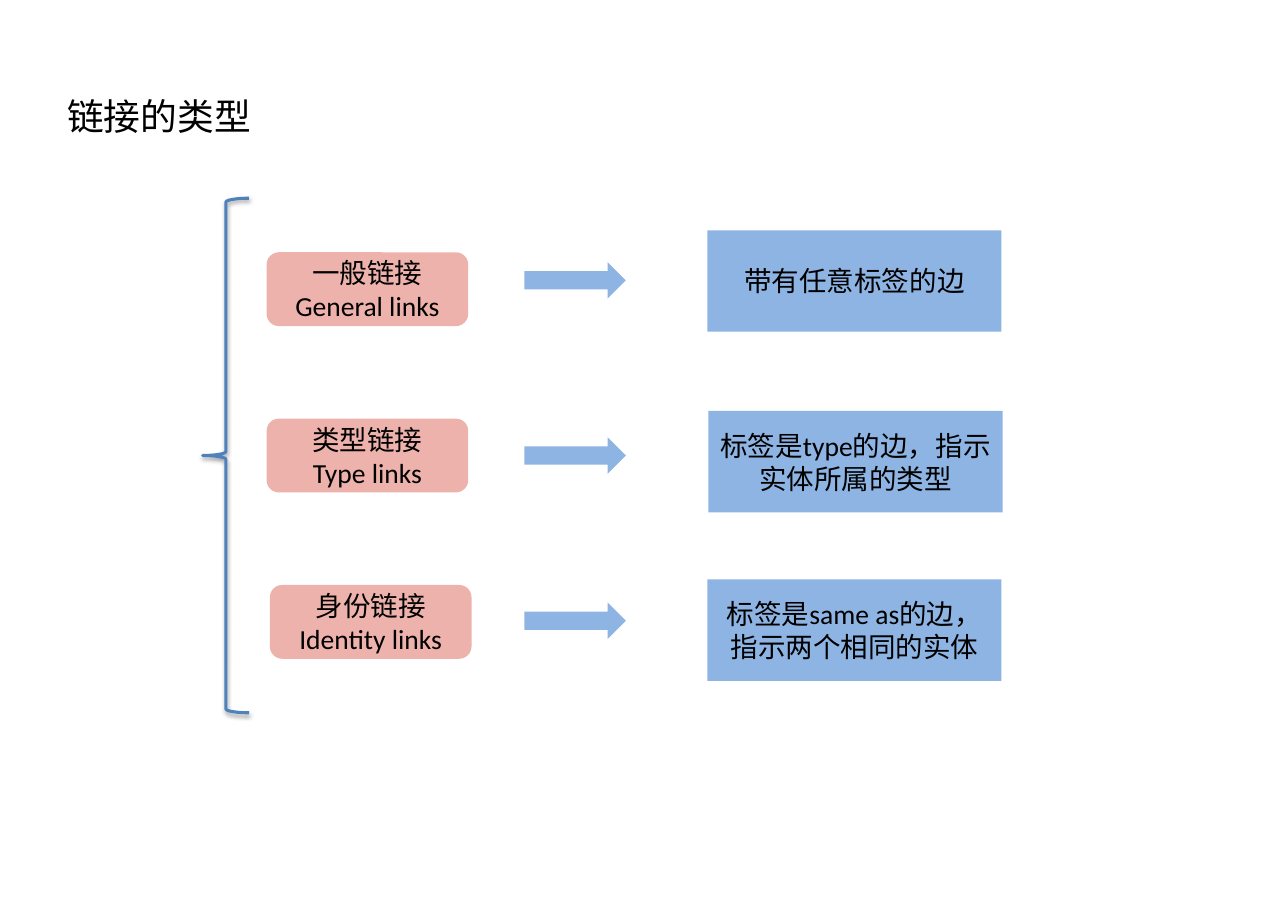
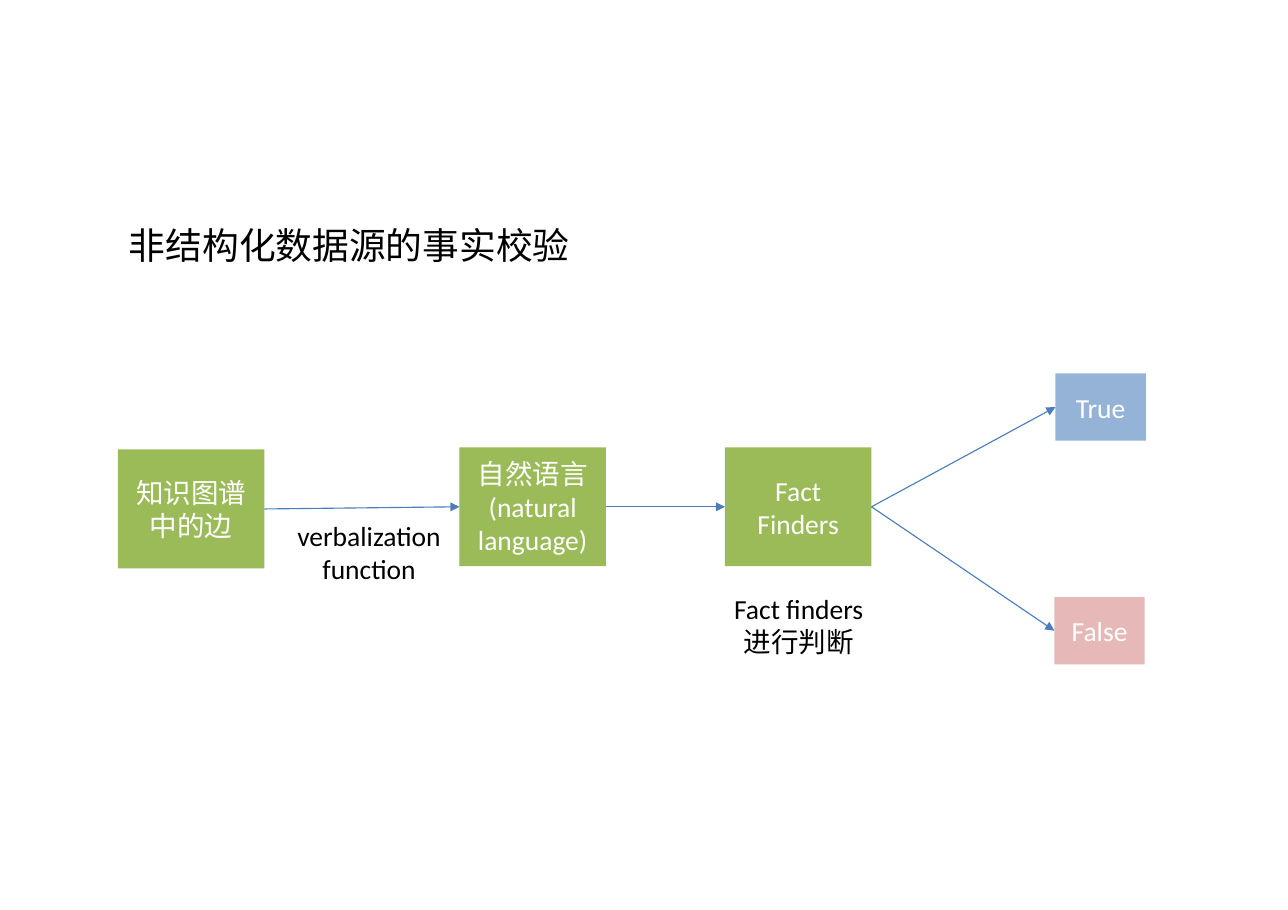
from dataclasses import dataclass

from lxml.etree import SubElement
from pptx import Presentation
from pptx.dml.color import RGBColor
from pptx.enum.shapes import MSO_CONNECTOR, MSO_SHAPE as Preset
from pptx.enum.text import MSO_ANCHOR as Anchor, MSO_AUTO_SIZE as AutoSize, PP_ALIGN as Align
from pptx.oxml.ns import qn
from pptx.util import Pt

PX = 9144  # 100 px to the inch
SLIDE_SIZE = (1169, 826)
TITLE_ONLY = 5
LEFT_SITE, RIGHT_SITE = 1, 3


@dataclass(frozen=True)
class Theme:
    ink: str = "000000"
    light: str = "FFFFFF"
    link: str = "EEB2AC"
    meaning: str = "8EB4E3"
    brace: str = "4F81BD"
    step: str = "9BBB59"
    true: str = "95B3D7"
    false: str = "E6B9B8"
    flow: str = "4B7EBC"
    title_font: str = "Noto Sans CJK SC"
    body_font: str = "Calibri"
    title_size: int = 24
    body_size: int = 18
    brace_width: float = 2
    flow_width: float = 0.75


THEME = Theme()

# Slide 1: link type (text, left), arrow top, meaning (text, left, top)
LINK_TITLE = ("链接的类型", (51, 80, 188, 50))
LINK_ROWS = [
    ("一般链接\nGeneral links", 242, 238, "带有任意标签的边", 642, 209),
    ("类型链接\nType links", 242, 397, "标签是type的边，指示实体所属的类型", 643, 373),
    ("身份链接\nIdentity links", 245, 547, "标签是same as的边，指示两个相同的实体", 642, 526),
]
LINK_TOP, LINK_STEP = 229, 151
LINK_SIZE, ARROW_SIZE, MEANING_SIZE = (183, 67), (92, 33), (267, 92)
ARROW_LEFT = 476
BRACE_BOX = (184, 180, 42, 467)

# Slide 2
CHECK_TITLE = ("非结构化数据源的事实校验", (107, 197, 424, 50))
STEP_SIZE, VERDICT_SIZE = (133, 108), (82, 61)
NODES = {
    "edge": ("知识图谱中的边", (107, 408), STEP_SIZE, THEME.step),
    "language": ("自然语言(natural language)", (417, 406), STEP_SIZE, THEME.step),
    "finders": ("Fact Finders", (658, 406), STEP_SIZE, THEME.step),
    "true": ("True", (958, 339), VERDICT_SIZE, THEME.true),
    "false": ("False", (957, 542), VERDICT_SIZE, THEME.false),
}
FLOWS = [("edge", "language"), ("language", "finders"),
         ("finders", "true"), ("finders", "false")]
CAPTIONS = [
    ("verbalization function", (247, 466, 176, 71)),
    ("Fact finders进行判断", (650, 532, 150, 71)),
]


def emu(box):
    return [length * PX for length in box]


def rgb(code):
    return RGBColor.from_string(code)


def write(shape, text, color, frame_format, align=Align.CENTER,
          font=THEME.body_font, size=THEME.body_size):
    frame = shape.text_frame
    frame.text = text
    for name, value in frame_format.items():
        setattr(frame, name, value)
    for paragraph in frame.paragraphs:
        paragraph.alignment = align
        for run in paragraph.runs:
            for name, value in {"name": font, "size": Pt(size)}.items():
                setattr(run.font, name, value)
            run.font.color.rgb = rgb(color)


def titled_slide(deck, title, box):
    slide = deck.slides.add_slide(deck.slide_layouts[TITLE_ONLY])
    heading = slide.shapes.title
    heading.left, heading.top, heading.width, heading.height = emu(box)
    write(heading, title, THEME.ink,
          {"word_wrap": False, "vertical_anchor": Anchor.TOP,
           "auto_size": AutoSize.SHAPE_TO_FIT_TEXT},
          Align.LEFT, THEME.title_font, THEME.title_size)
    return slide


def add_block(slide, preset, box, fill, text="", color=THEME.ink):
    block = slide.shapes.add_shape(preset, *emu(box))
    block.shadow.inherit = False
    block.fill.solid()
    block.fill.fore_color.rgb = rgb(fill)
    block.line.fill.background()
    if text:
        write(block, text, color, {"word_wrap": True, "vertical_anchor": Anchor.MIDDLE})
    return block


def add_brace(slide):
    brace = slide.shapes.add_shape(Preset.LEFT_BRACE, *emu(BRACE_BOX))
    brace.fill.background()
    brace.line.color.rgb = rgb(THEME.brace)
    brace.line.width = Pt(THEME.brace_width)
    brace.shadow.inherit = False
    effects = brace._element.spPr.find(qn("a:effectLst"))
    shadow = SubElement(effects, qn("a:outerShdw"), blurRad="40000", dist="20000",
                        dir="5400000", rotWithShape="0")
    shade = SubElement(shadow, qn("a:srgbClr"), val=THEME.ink)
    SubElement(shade, qn("a:alpha"), val="38000")


def add_flow(slide, source, target):
    flow = slide.shapes.add_connector(MSO_CONNECTOR.STRAIGHT, 0, 0, 0, 0)
    flow.begin_connect(source, RIGHT_SITE)
    flow.end_connect(target, LEFT_SITE)
    flow.line.color.rgb = rgb(THEME.flow)
    flow.line.width = Pt(THEME.flow_width)
    properties = flow._element.spPr
    SubElement(properties.find(qn("a:ln")), qn("a:tailEnd"), type="triangle")
    SubElement(properties, qn("a:effectLst"))


def build_link_types(deck):
    slide = titled_slide(deck, *LINK_TITLE)
    add_brace(slide)
    for row, (link, link_left, arrow_top, meaning, left, top) in enumerate(LINK_ROWS):
        link_top = LINK_TOP + row * LINK_STEP
        add_block(slide, Preset.ROUNDED_RECTANGLE, (link_left, link_top, *LINK_SIZE),
                  THEME.link, link)
        add_block(slide, Preset.RIGHT_ARROW, (ARROW_LEFT, arrow_top, *ARROW_SIZE),
                  THEME.meaning)
        add_block(slide, Preset.RECTANGLE, (left, top, *MEANING_SIZE),
                  THEME.meaning, meaning)


def build_fact_check(deck):
    slide = titled_slide(deck, *CHECK_TITLE)
    nodes = {
        key: add_block(slide, Preset.RECTANGLE, (*corner, *size), fill, text, THEME.light)
        for key, (text, corner, size, fill) in NODES.items()
    }
    for source, target in FLOWS:
        add_flow(slide, nodes[source], nodes[target])
    for text, box in CAPTIONS:
        caption = slide.shapes.add_textbox(*emu(box))
        write(caption, text, THEME.ink,
              {"word_wrap": True, "auto_size": AutoSize.SHAPE_TO_FIT_TEXT})


def main():
    deck = Presentation()
    deck.slide_width, deck.slide_height = emu(SLIDE_SIZE)
    build_link_types(deck)
    build_fact_check(deck)
    deck.save("out.pptx")


if __name__ == "__main__":
    main()
